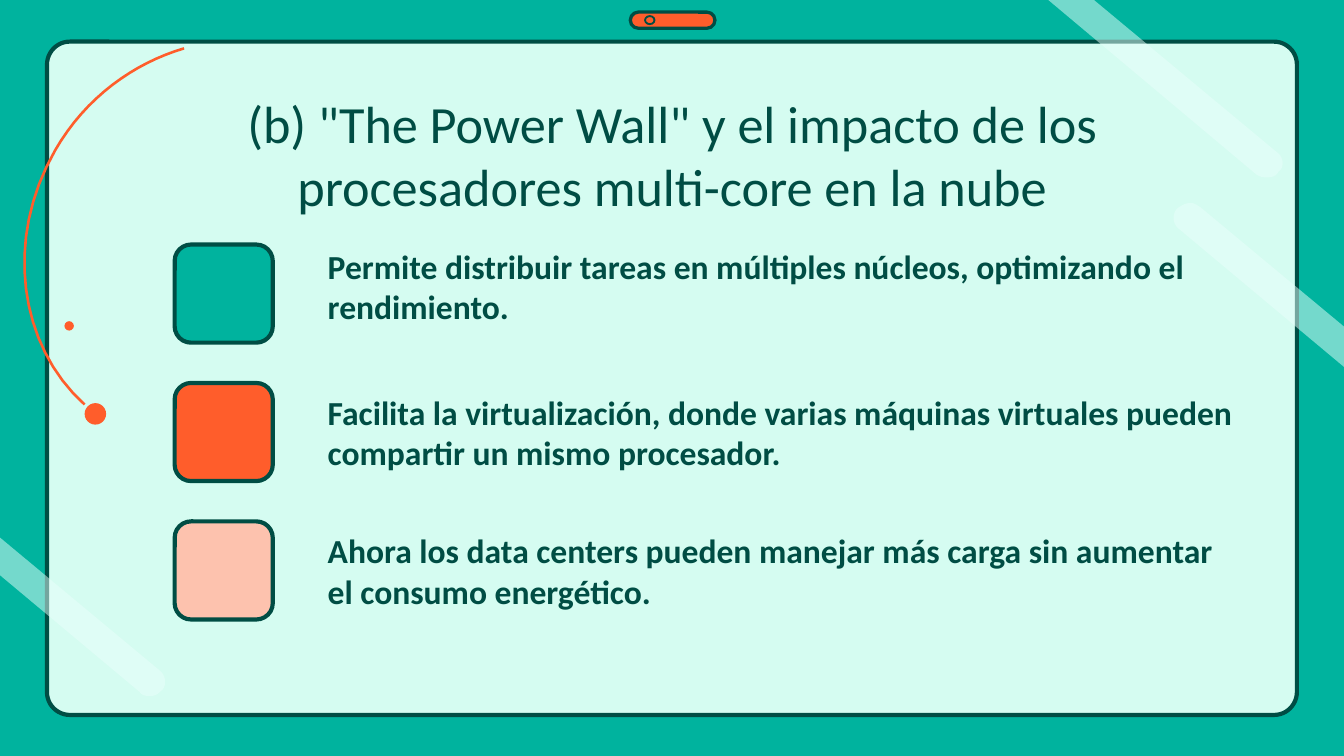
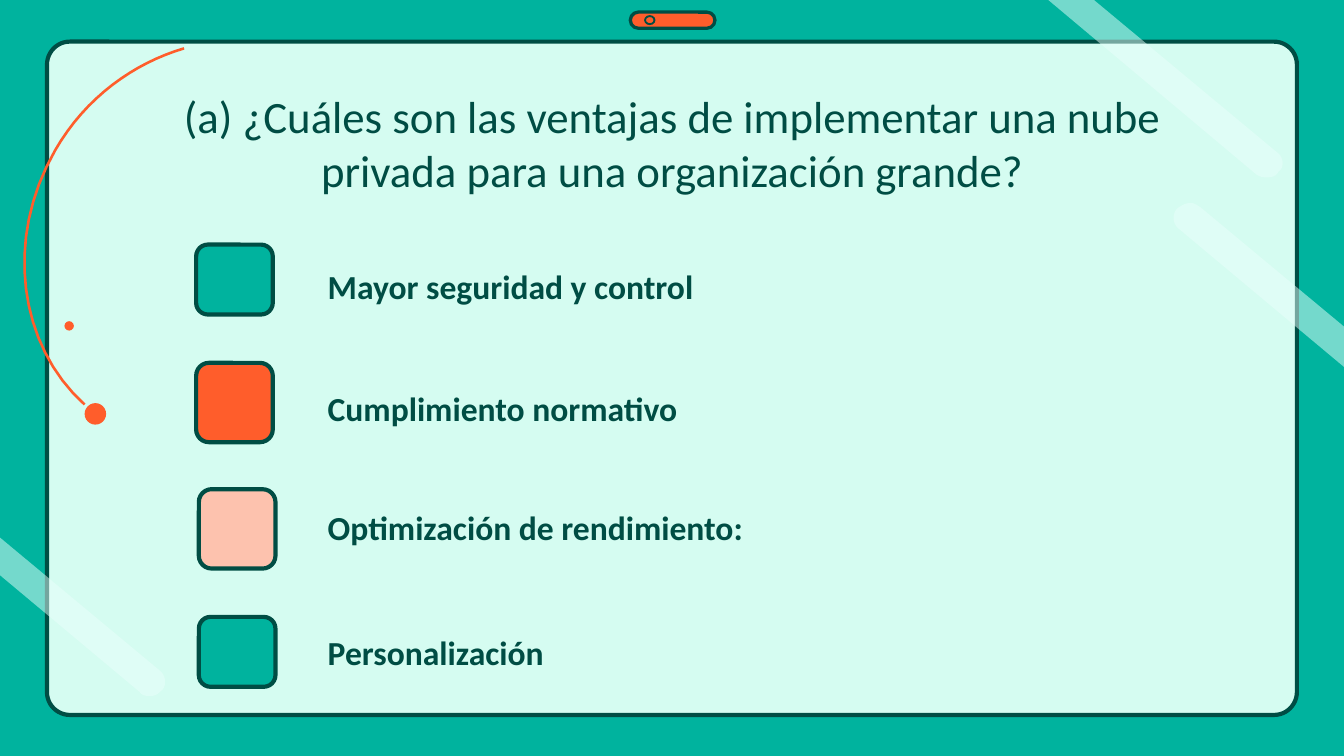
from lxml import etree
from pptx import Presentation
from pptx.dml.color import RGBColor
from pptx.enum.shapes import MSO_SHAPE
from pptx.enum.text import MSO_ANCHOR, MSO_AUTO_SIZE, PP_ALIGN
from pptx.oxml.ns import qn
from pptx.util import Emu, Pt

ROUNDED = MSO_SHAPE.ROUNDED_RECTANGLE
OVAL = MSO_SHAPE.OVAL
TOP, MIDDLE = MSO_ANCHOR.TOP, MSO_ANCHOR.MIDDLE
LEFT, CENTER = PP_ALIGN.LEFT, PP_ALIGN.CENTER

PX = 9144  # 100 px to the inch
SLIDE_SIZE = (1000, 1000 * 9 / 16)
PANEL_BOX = (35, 31, 930, 501)
FONT = "Calibri"
COLORS = {
    "teal": "00B39E",
    "mint": "D5FCF1",
    "dark": "004D44",
    "orange": "FF5D2B",
    "peach": "FDC2AE",
    "shine": "E9FFFB",
}
TILE_COLORS = ["teal", "orange", "peach"]
MARGINS = ("margin_left", "margin_top", "margin_right", "margin_bottom")

# Outlines: a start point, then lines (x, y) or curves (x1, y1, x2, y2, x, y)
ORBIT = [(63, 301), (14, 257, 3, 178, 41, 112), (64, 72, 100, 47, 137, 36)]
SHINE_BANDS = [
    [(780, 0), (935, 130), (938, 132, 941, 132, 943, 132),
     (946, 132, 950, 131, 951, 128), (956, 125, 955, 117, 951, 114), (814, 0)],
    [(0, 400), (119, 499), (124, 503, 124, 511, 120, 514),
     (117, 517, 115, 518, 111, 518), (108, 518, 105, 517, 104, 515), (0, 428)],
    [(1000, 273), (878, 171), (872, 167, 872, 159, 876, 155),
     (879, 153, 882, 151, 886, 151), (889, 151, 891, 153, 893, 154), (1000, 243)],
]

SLIDES = [
    {
        "title": '(b) "The Power Wall" y el impacto de los procesadores multi-core en la nube',
        "title_box": (79, 58, 842, 107),
        "title_size": 28,
        # Each row: text, text box, tile box
        "rows": [
            ("Permite distribuir tareas en múltiples núcleos, optimizando el rendimiento.",
             (234, 179, 705, 68), (130, 182, 73, 73)),
            ("Facilita la virtualización, donde varias máquinas virtuales pueden "
             "compartir un mismo procesador.",
             (234, 299, 697, 45), (130, 285, 73, 73)),
            ("Ahora los data centers pueden manejar más carga sin aumentar "
             "el consumo energético.",
             (234, 388, 687, 73), (130, 388, 73, 73)),
        ],
    },
    {
        "title": "(a) ¿Cuáles son las ventajas de implementar una nube privada "
                 "para una organización grande?",
        "title_box": (79, 56, 842, 96),
        "title_size": 24,
        "rows": [
            ("Mayor seguridad y control", (234, 179, 705, 68), (146, 182, 57, 52)),
            ("Cumplimiento normativo", (234, 281, 697, 45), (146, 270, 57, 59)),
            ("Optimización de rendimiento:", (234, 356, 687, 73), (148, 364, 57, 59)),
            ("Personalización", (234, 451, 705, 68), (148, 459, 57, 52)),
        ],
    },
]


def px(value):
    return Emu(round(value * PX))


def color(name):
    return RGBColor.from_string(COLORS[name])


def paint(shape, fill=None, line=None, width=0):
    shape.shadow.inherit = False
    if fill:
        shape.fill.solid()
        shape.fill.fore_color.rgb = color(fill)
    else:
        shape.fill.background()
    if line:
        shape.line.color.rgb = color(line)
        shape.line.width = Pt(width)
    else:
        shape.line.fill.background()
    return shape


def add_preset(slide, kind, box, adjustment=None, **style):
    shape = slide.shapes.add_shape(kind, *map(px, box))
    if adjustment is not None:
        shape.adjustments[0] = adjustment
    return paint(shape, **style)


def trace(outline, steps=16):
    """Turn lines and Bézier curves into a list of points."""
    points = [outline[0]]
    for segment in outline[1:]:
        if len(segment) == 2:
            points.append(segment)
            continue
        corners = [points[-1], segment[:2], segment[2:4], segment[4:]]
        for step in range(1, steps + 1):
            t = step / steps
            weights = [(1 - t) ** 3, 3 * t * (1 - t) ** 2, 3 * t * t * (1 - t), t ** 3]
            points.append(tuple(sum(w * corner[axis] for w, corner in zip(weights, corners))
                                for axis in (0, 1)))
    return points


def add_outline(slide, outline, close, **style):
    points = [(px(x), px(y)) for x, y in trace(outline)]
    builder = slide.shapes.build_freeform(*points[0], scale=1.0)
    builder.add_line_segments(points[1:], close=close)
    return paint(builder.convert_to_shape(), **style)


def write(shape, text, size, anchor, align, bold=False):
    frame = shape.text_frame
    settings = {"word_wrap": True, "auto_size": MSO_AUTO_SIZE.NONE, "vertical_anchor": anchor}
    settings.update((margin, px(10)) for margin in MARGINS)
    for name, value in settings.items():
        setattr(frame, name, value)
    paragraph = frame.paragraphs[0]
    paragraph.alignment = align
    run = paragraph.add_run()
    run.text = text
    for name, value in {"name": FONT, "size": Pt(size), "bold": bold}.items():
        setattr(run.font, name, value)
    run.font.color.rgb = color("dark")


def draw_panel(slide, box):
    left, top, width, _ = box
    add_preset(slide, ROUNDED, box, 0.034, fill="mint", line="dark", width=2.25)
    # Camera pill centred above the panel
    pill_left, pill_top = left + (width - 63) // 2 + 1, top - 22
    add_preset(slide, ROUNDED, (pill_left, pill_top, 63, 12), 0.5,
               fill="orange", line="dark", width=1.75)
    add_preset(slide, OVAL, (pill_left + 11, pill_top + 3, 7, 6), line="dark", width=1)


def draw_orbit(slide):
    add_outline(slide, ORBIT, False, line="orange", width=1.4)
    for box in [(48, 239, 7, 7), (63, 300, 16, 16)]:
        add_preset(slide, OVAL, box, fill="orange")


def draw_shine(slide):
    for band in SHINE_BANDS:
        shape = add_outline(slide, band, True, fill="shine")
        fill_color = shape.element.spPr.find(qn("a:solidFill")).find(qn("a:srgbClr"))
        etree.SubElement(fill_color, qn("a:alpha"), val="50000")


def dress_layout(layout, slide):
    """Draw the shared decoration on a slide, then move it to the layout."""
    layout.background.fill.solid()
    layout.background.fill.fore_color.rgb = color("teal")
    for placeholder in list(layout.placeholders)[1:]:
        layout.shapes.element.remove(placeholder.element)
    draw_panel(slide, PANEL_BOX)
    draw_orbit(slide)
    draw_shine(slide)
    for shape in list(slide.shapes):
        if not shape.is_placeholder:
            layout.shapes.element.append(shape.element)


def fill_title(slide, text, box, size):
    title = slide.shapes.title
    for name, value in zip(("left", "top", "width", "height"), box):
        setattr(title, name, px(value))
    write(title, text, size, TOP, CENTER)


def draw_row(slide, text, text_box, tile_box, tile_color):
    add_preset(slide, ROUNDED, tile_box, 0.167, fill=tile_color, line="dark", width=2.25)
    label = slide.shapes.add_textbox(*map(px, text_box))
    write(label, text, 18, MIDDLE, LEFT, bold=True)


def main():
    presentation = Presentation()
    presentation.slide_width, presentation.slide_height = map(px, SLIDE_SIZE)
    layout = presentation.slide_layouts.get_by_name("Title Only")
    for index, content in enumerate(SLIDES):
        slide = presentation.slides.add_slide(layout)
        if index == 0:
            dress_layout(layout, slide)
        fill_title(slide, content["title"], content["title_box"], content["title_size"])
        for number, row in enumerate(content["rows"]):
            draw_row(slide, *row, TILE_COLORS[number % len(TILE_COLORS)])
    presentation.save("out.pptx")


if __name__ == "__main__":
    main()
